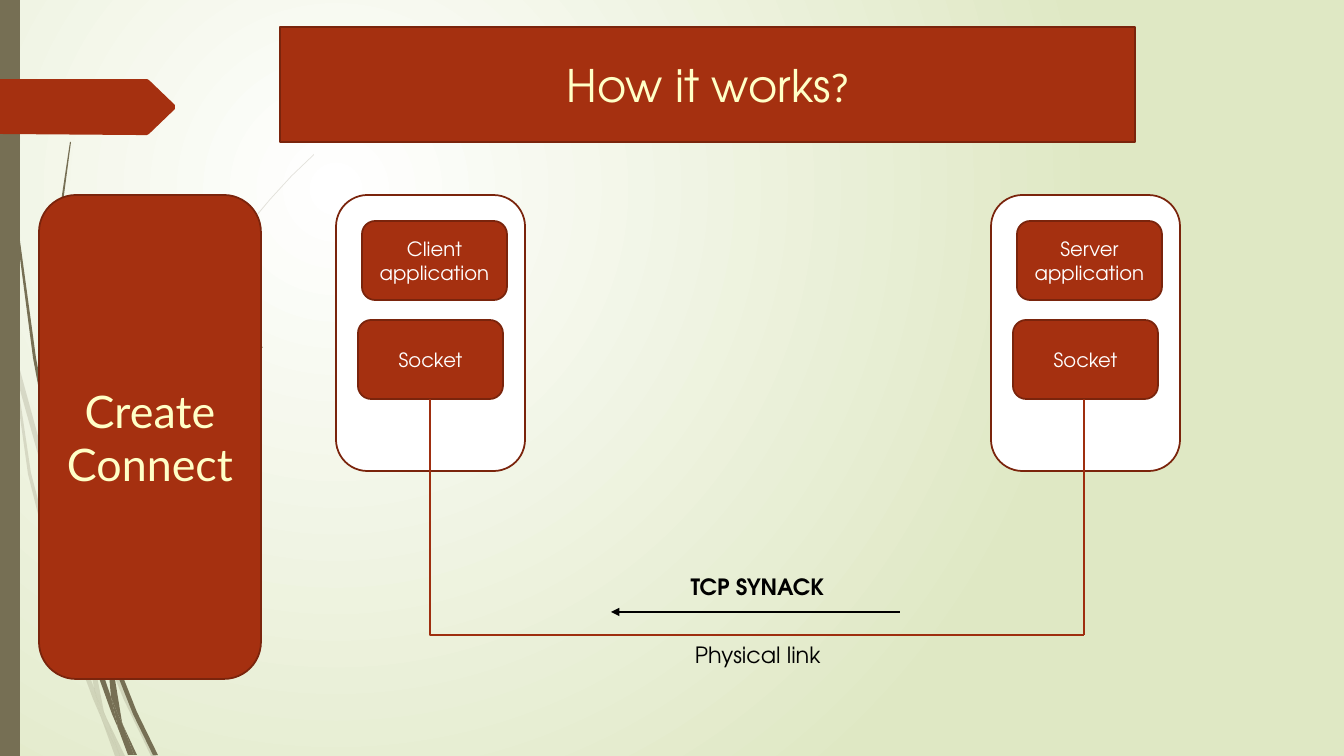
import dataclasses

import lxml.etree
import pptx
import pptx.dml.color
import pptx.enum.shapes
import pptx.enum.text
import pptx.oxml.ns
import pptx.util

SHAPE = pptx.enum.shapes.MSO_SHAPE
CONNECTOR = pptx.enum.shapes.MSO_CONNECTOR
ALIGN = pptx.enum.text.PP_ALIGN
ANCHOR = pptx.enum.text.MSO_ANCHOR
PX = 914400 / 100.8


@dataclasses.dataclass(frozen=True)
class Theme:
    """Colours, fonts and type sizes of the slide."""
    red: str = "A53010"
    edge: str = "7A240C"
    link: str = "9E2E0F"
    olive: str = "766F54"
    pale: str = "DFE8C4"
    cream: str = "FFFFC7"
    white: str = "FFFFFF"
    black: str = "000000"
    font: str = "TeX Gyre Adventor"
    alt_font: str = "Lato"
    head: int = 32
    mark: int = 28
    label: int = 16
    small: int = 14


T = Theme()


def emu(px):
    """Turn pixels into EMU."""
    return pptx.util.Emu(round(px * PX))


def rgb(color):
    """Return the colour object of a hex string."""
    return pptx.dml.color.RGBColor.from_string(color)


def sub(parent, tag, **attrs):
    """Add a DrawingML child element."""
    return lxml.etree.SubElement(parent, pptx.oxml.ns.qn(tag), attrs)


def add_text(p, text, *, size=T.label, color=T.black, font=T.font, bold=False, align=ALIGN.CENTER):
    """Add a formatted run to a paragraph."""
    p.alignment = align
    r = p.add_run()
    r.text = text
    r.font.size = pptx.util.Pt(size)
    r.font.name = font
    r.font.bold = bold
    r.font.color.rgb = rgb(color)


class Deck:
    """Hold the theme and the current slide and draw each kind of element."""

    def __init__(self, prs, theme):
        self.theme = theme
        self.s = prs.slides.add_slide(prs.slide_layouts[6])

    def background(self):
        """Fill the background with a radial gradient."""
        fill = self.s.background.fill
        fill.gradient()
        for stop, color, pos in zip(fill.gradient_stops, (self.theme.white, self.theme.pale), (0, 1)):
            stop.color.rgb = rgb(color)
            stop.position = pos
        grad = self.s.background._cSld.find(".//" + pptx.oxml.ns.qn("a:gradFill"))
        grad.remove(grad.find(pptx.oxml.ns.qn("a:lin")))
        path = sub(grad, "a:path", path="circle")
        sub(path, "a:fillToRect", l="50000", t="50000", r="100000", b="100000")

    def paint(self, sp, fill, line=None):
        """Set the fill and outline of a shape and drop its shadow."""
        sp.shadow.inherit = False
        sp.fill.solid()
        sp.fill.fore_color.rgb = rgb(fill)
        if line:
            sp.line.color.rgb = rgb(line)
            sp.line.width = pptx.util.Pt(1.25)
        else:
            sp.line.fill.background()

    def outline(self, points, fill, alpha=None):
        """Draw a closed freeform through pixel points."""
        fb = self.s.shapes.build_freeform(*points[0], scale=PX)
        fb.add_line_segments(points[1:], close=True)
        sp = fb.convert_to_shape()
        self.paint(sp, fill)
        if alpha:
            color = sp._element.spPr.find(".//" + pptx.oxml.ns.qn("a:srgbClr"))
            sub(color, "a:alpha", val=str(alpha * 1000))

    def box(self, x, y, w, h, lines=(), kind=SHAPE.ROUNDED_RECTANGLE, fill=T.red, line=T.edge, **fmt):
        """Draw a preset shape with centred lines of text."""
        sp = self.s.shapes.add_shape(kind, *map(emu, (x, y, w, h)))
        self.paint(sp, fill, line)
        tf = sp.text_frame
        tf.vertical_anchor = ANCHOR.MIDDLE
        for i, text in enumerate(lines):
            add_text(tf.add_paragraph() if i else tf.paragraphs[0], text, **fmt)
        return sp

    def label(self, x, y, w, h, text, **fmt):
        """Draw a wrapping text box."""
        tf = self.s.shapes.add_textbox(*map(emu, (x, y, w, h))).text_frame
        tf.word_wrap = True
        add_text(tf.paragraphs[0], text, **fmt)

    def line(self, x1, y1, x2, y2, color, width, kind=CONNECTOR.STRAIGHT, arrow=False):
        """Draw a connector, with an arrowhead at its end on request."""
        c = self.s.shapes.add_connector(kind, *map(emu, (x1, y1, x2, y2)))
        c.line.color.rgb = rgb(color)
        c.line.width = pptx.util.Pt(width)
        if arrow:
            sub(c.line._get_or_add_ln(), "a:tailEnd", type="triangle")
        sub(c._element.spPr, "a:effectLst")
        return c

    def elbow(self, x1, y1, x2, y2, color, width):
        """Draw a one-bend connector that goes down and then right."""
        cx, cy = (x1 + x2) / 2, (y1 + y2) / 2
        dx, dy = (y2 - y1) / 2, (x2 - x1) / 2
        c = self.line(cx + dx, cy - dy, cx - dx, cy + dy, color, width, CONNECTOR.ELBOW)
        spPr = c._element.spPr
        spPr.find(pptx.oxml.ns.qn("a:prstGeom")).set("prst", "bentConnector2")
        spPr.find(pptx.oxml.ns.qn("a:xfrm")).set("rot", str(270 * 60000))


FAINT_WISPS = [
    [(11, 353), (9, 325), (0, 284), (0, 301), (10, 347)],
    [(58, 526), (85, 604), (86, 591), (62, 524), (14, 348), (17, 379)],
    [(93, 612), (89, 601), (89, 615), (124, 700), (151, 756), (156, 756), (128, 698)],
    [(120, 756), (125, 756), (106, 717)],
    [(94, 688), (71, 624), (31, 473), (17, 379), (11, 353), (28, 474), (66, 626), (93, 699),
     (102, 720), (100, 713)],
    [(85, 604), (88, 651), (94, 688), (97, 698), (106, 717), (104, 712), (92, 651), (89, 615)],
    [(89, 589), (111, 466), (161, 352), (231, 247), (270, 200), (292, 176), (314, 155), (314, 154),
     (291, 176), (270, 199), (230, 246), (159, 351), (108, 465), (86, 589), (86, 591), (89, 601)],
    [(102, 720), (115, 756), (120, 756)],
    [(97, 698), (94, 688), (100, 713), (102, 720), (120, 756), (106, 717)],
]
DARK_WISPS = [
    [(7, 111), (17, 235), (33, 358), (56, 481), (57, 485), (55, 461), (55, 457), (36, 358),
     (19, 234), (8, 110), (5, 48), (4, 0), (3, 0), (4, 48)],
    [(114, 654), (111, 646), (112, 661), (133, 714), (153, 755), (158, 755), (137, 712)],
    [(111, 697), (99, 662), (73, 560), (65, 509), (57, 481), (69, 561), (94, 664), (112, 714),
     (118, 728), (117, 723)],
    [(60, 476), (58, 457), (54, 352), (58, 247), (64, 195), (71, 142), (70, 142), (62, 195),
     (56, 247), (52, 352), (55, 453)],
    [(134, 755), (137, 755), (123, 725)],
    [(112, 638), (126, 556), (159, 480), (207, 409), (233, 377), (247, 362), (263, 347), (262, 347),
     (247, 361), (233, 376), (206, 408), (157, 478), (123, 555), (107, 636), (111, 646)],
    [(118, 728), (128, 755), (132, 755)],
    [(107, 650), (111, 697), (117, 712), (123, 725), (122, 722), (112, 661), (110, 656)],
    [(117, 712), (111, 697), (117, 723), (118, 728), (131, 755), (134, 755), (123, 725)],
]
PAGE_TAB = [(175, 109), (149, 134), (147, 135), (137, 135), (0, 134), (0, 79), (147, 79), (149, 80),
            (175, 105)]

prs = pptx.Presentation()
prs.slide_width, prs.slide_height = emu(1344), emu(756)
d = Deck(prs, T)
d.background()
for wisps, alpha in ((FAINT_WISPS, 20), (DARK_WISPS, None)):
    for wisp in wisps:
        d.outline(wisp, T.olive, alpha)
d.box(0, 0, 20, 756, kind=SHAPE.RECTANGLE, fill=T.olive, line=None)
d.outline(PAGE_TAB, T.red)

title = d.box(280, 27, 855, 115, ["How it works"], SHAPE.RECTANGLE, size=T.head, color=T.cream)
add_text(title.text_frame.paragraphs[0], "?", size=T.mark, color=T.cream, font=T.alt_font)

for x, role in ((336, "Client"), (991, "Server")):
    d.box(x, 195, 189, 276, fill=T.white)
    d.box(x + 26, 221, 145, 79, [f"{role} application"], size=T.small, color=T.white)
    d.box(x + 22, 320, 145, 79, ["Socket"], size=T.small, color=T.white)

d.elbow(430, 399, 1084, 635, T.link, 1)
d.line(1084, 399, 1084, 635, T.link, 1)
d.label(685, 636, 170, 37, "Physical link", align=ALIGN.LEFT)
d.label(655, 568, 205, 37, "TCP SYNACK", bold=True)
d.box(39, 195, 222, 484, ["Create", "Connect"], size=T.head, color=T.cream, font=T.alt_font)
d.line(900, 612, 611, 612, T.black, 1.5, arrow=True)
prs.save("out.pptx")
